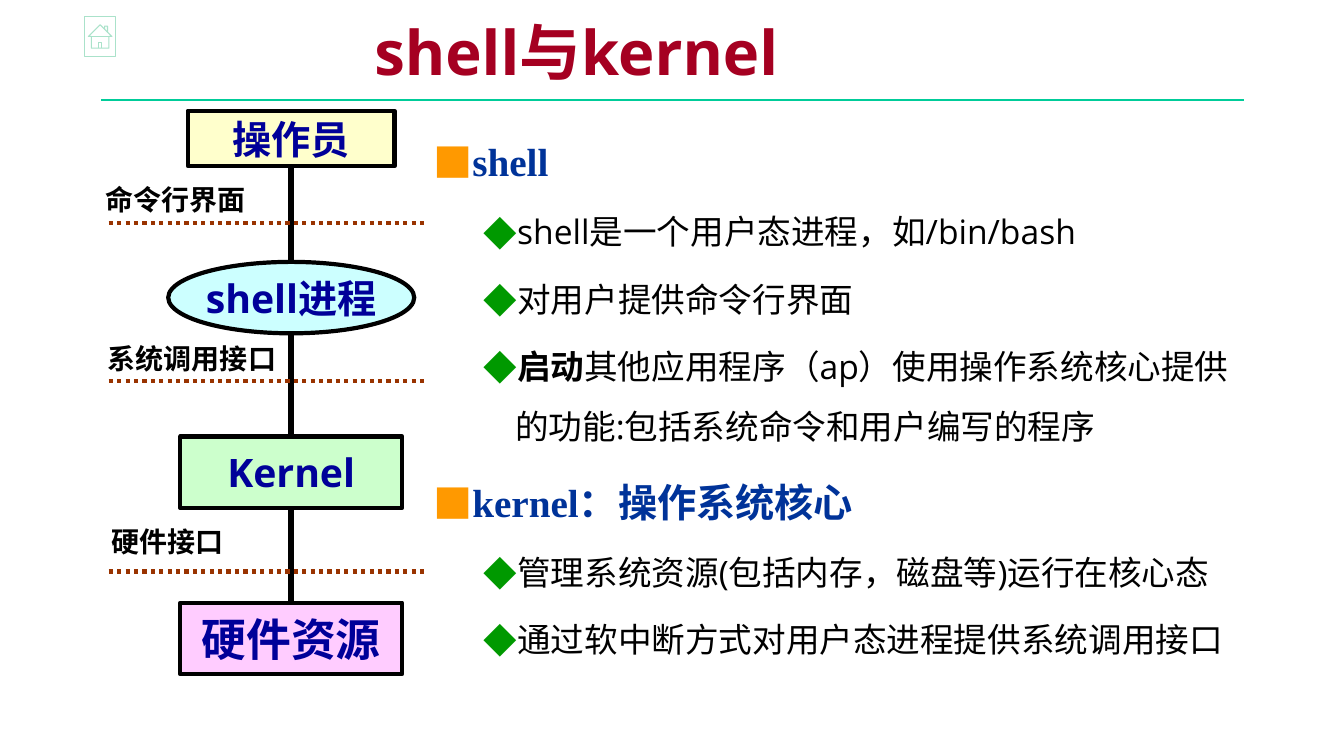
from lxml.etree import SubElement
from pptx import Presentation
from pptx.dml.color import RGBColor
from pptx.enum.dml import MSO_LINE
from pptx.enum.shapes import MSO_CONNECTOR, MSO_SHAPE
from pptx.enum.text import MSO_ANCHOR, MSO_AUTO_SIZE, PP_ALIGN
from pptx.oxml.ns import qn
from pptx.util import Cm, Pt

BLACK = RGBColor(0, 0, 0)
CRIMSON = RGBColor(0xA5, 0, 0x21)
NAVY = RGBColor(0, 0, 0x99)
BLUE = RGBColor(0, 0x33, 0x99)
BROWN = RGBColor(0x99, 0x33, 0)
TEAL = RGBColor(0, 0xCC, 0x99)
MINT = RGBColor(0xAA, 0xE2, 0xCA)
ORANGE = RGBColor(0xFF, 0x99, 0)
GREEN = RGBColor(0, 0x99, 0)
CREAM = RGBColor(0xFF, 0xFF, 0xCC)
PALE_CYAN = RGBColor(0xCC, 0xFF, 0xFF)
PALE_GREEN = RGBColor(0xCC, 0xFF, 0xCC)
PINK = RGBColor(0xFF, 0xCC, 0xFF)
SANS, SERIF, CJK = "Open Sans", "Times New Roman", "Noto Sans CJK SC"

TITLE = "shell与kernel"
LAYERS = [
    ("操作员", MSO_SHAPE.RECTANGLE, CREAM, 28, 2.79, 5.21, 1.4),
    ("shell进程", MSO_SHAPE.OVAL, PALE_CYAN, 28, 6.6, 6.2, 1.8),
    ("Kernel", MSO_SHAPE.RECTANGLE, PALE_GREEN, 28, 11, 5.59, 1.8),
    ("硬件资源", MSO_SHAPE.RECTANGLE, PINK, 32, 15.19, 5.59, 1.8),
]
INTERFACES = [
    ("命令行界面", 2.13, 4.6, 4.6, 5.61),
    ("系统调用接口", 2.34, 8.61, 5, 9.6),
    ("硬件接口", 2.54, 13.21, 3.35, 14.4),
]
POINTS = [
    (0, [("shell", True)]),
    (1, [("shell是一个用户态进程，如/bin/bash", False)]),
    (1, [("对用户提供命令行界面", False)]),
    (1, [("启动", True),
         ("其他应用程序（ap）使用操作系统核心提供的功能:包括系统命令和用户编写的程序", False)]),
    (0, [("kernel：操作系统核心", True)]),
    (1, [("管理系统资源(包括内存，磁盘等)运行在核心态", False)]),
    (1, [("通过软中断方式对用户态进程提供系统调用接口", False)]),
]
LEVELS = [
    (28, SERIF, BLUE, "■", ORANGE, 0.97, 0.97),
    (24, SANS, BLACK, "◆", GREEN, 2.06, 0.79),
]
AXIS_X = 7.34

deck = Presentation()
deck.slide_width, deck.slide_height = Cm(33.87), Cm(19.05)
slide = deck.slides.add_slide(deck.slide_layouts[5])
shapes = slide.shapes


def style(paragraph, size, face, color, bold=None):
    font = paragraph.font
    font.size, font.name, font.bold = Pt(size), face, bold
    font.color.rgb = color
    for run in paragraph.runs:
        SubElement(run._r.get_or_add_rPr(), qn("a:ea"), typeface=CJK)


def draw_line(x1, y1, x2, y2, color, width, dash=None):
    line = shapes.add_connector(MSO_CONNECTOR.STRAIGHT, Cm(x1), Cm(y1), Cm(x2), Cm(y2))
    line.line.color.rgb, line.line.width = color, Pt(width)
    if dash:
        line.line.dash_style = dash
    SubElement(line._element.spPr, qn("a:effectLst"))


def place(box, left, top, width, height):
    box.left, box.top, box.width, box.height = Cm(left), Cm(top), Cm(width), Cm(height)


def add_bullet(paragraph, glyph, color, margin, hanging):
    props = paragraph._p.get_or_add_pPr()
    props.set("marL", str(Cm(margin)))
    props.set("indent", str(-Cm(hanging)))
    SubElement(SubElement(props, qn("a:buClr")), qn("a:srgbClr"), val=str(color))
    SubElement(props, qn("a:buFont"), typeface=CJK)
    SubElement(props, qn("a:buChar"), char=glyph)


draw_line(2.54, 2.52, 31.34, 2.52, TEAL, 0.75)

title = shapes.title
place(title, 3.73, 0.33, 21.59, 2.21)
title.text_frame.text = TITLE
title.text_frame.auto_size = MSO_AUTO_SIZE.NONE
title.text_frame.vertical_anchor = MSO_ANCHOR.MIDDLE
heading = title.text_frame.paragraphs[0]
heading.alignment, heading.line_spacing = PP_ALIGN.CENTER, 0.85
style(heading, 44, SANS, CRIMSON, True)

notes = shapes.add_textbox(Cm(10.74), Cm(2.77), Cm(21.01), Cm(15.37)).text_frame
notes.word_wrap = True
notes.margin_left = notes.margin_right = Cm(0.18)
notes.margin_top = notes.margin_bottom = Cm(0.1)
for index, (level, pieces) in enumerate(POINTS):
    size, face, color, glyph, glyph_color, margin, hanging = LEVELS[level]
    point = notes.add_paragraph() if index else notes.paragraphs[0]
    point.level = level
    point.line_spacing, point.space_before = 1.5, Pt(size * 0.2)
    for words, bold in pieces:
        run = point.add_run()
        run.text, run.font.bold = words, bold
    style(point, size, face, color)
    add_bullet(point, glyph, glyph_color, margin, hanging)

for name, outline, fill, size, top, width, height in LAYERS:
    layer = shapes.add_shape(outline, Cm(AXIS_X - width / 2), Cm(top), Cm(width), Cm(height))
    layer.shadow.inherit = False
    layer.fill.solid()
    layer.fill.fore_color.rgb = fill
    layer.line.color.rgb, layer.line.width = BLACK, Pt(3)
    layer.text_frame.text = name
    layer.text_frame.word_wrap = False
    layer.text_frame.vertical_anchor = MSO_ANCHOR.MIDDLE
    label = layer.text_frame.paragraphs[0]
    label.alignment = PP_ALIGN.CENTER
    style(label, size, SANS, NAVY, True)

for upper, lower in zip(LAYERS, LAYERS[1:]):
    draw_line(AXIS_X, upper[4] + upper[6], AXIS_X, lower[4], BLACK, 4.5)

for name, left, top, width, border_y in INTERFACES:
    draw_line(2.74, border_y, 10.72, border_y, BROWN, 3, MSO_LINE.ROUND_DOT)
    caption = shapes.add_textbox(Cm(left), Cm(top), Cm(width), Cm(0.99)).text_frame
    caption.text = name
    caption.word_wrap = True
    caption.auto_size = MSO_AUTO_SIZE.SHAPE_TO_FIT_TEXT
    label = caption.paragraphs[0]
    label.alignment, label.line_spacing = PP_ALIGN.CENTER, 0.85
    style(label, 20, CJK, BLACK, True)

home = shapes.add_shape(MSO_SHAPE.ACTION_BUTTON_HOME, Cm(2.13), Cm(0.41), Cm(0.79), Cm(1.02))
home.shadow.inherit = False
home.fill.background()
home.line.color.rgb, home.line.width = MINT, Pt(0.75)

deck.save("out.pptx")
